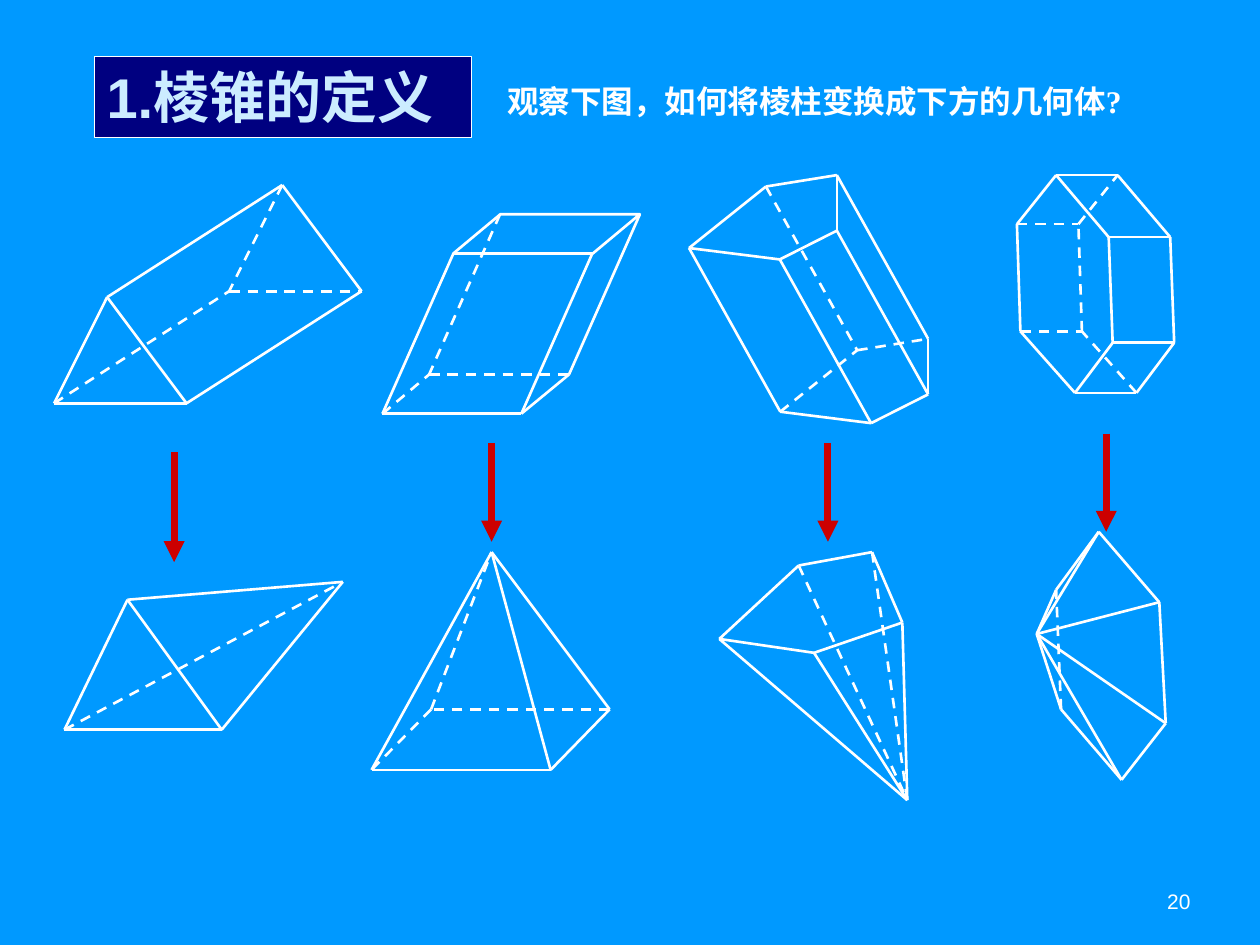
from lxml.etree import SubElement
from pptx import Presentation
from pptx.dml.color import RGBColor
from pptx.enum.dml import MSO_LINE
from pptx.enum.shapes import MSO_CONNECTOR, MSO_SHAPE
from pptx.enum.text import MSO_ANCHOR, PP_ALIGN
from pptx.oxml.ns import qn
from pptx.util import Cm, Pt

SKY = RGBColor(0x00, 0x99, 0xFF)
NAVY = RGBColor(0x00, 0x00, 0x80)
WHITE = RGBColor(0xFF, 0xFF, 0xFF)
PALE = RGBColor(0xCC, 0xEC, 0xFF)
RED = RGBColor(0xCC, 0x00, 0x00)
EDGE_WIDTH = 1.5


def add_line(shapes, start, end, color=WHITE, width=EDGE_WIDTH, dashed=False, arrow=False):
    line = shapes.add_connector(MSO_CONNECTOR.STRAIGHT, *map(Cm, start + end))
    line.line.color.rgb = color
    line.line.width = Pt(width)
    if dashed:
        line.line.dash_style = MSO_LINE.DASH
    if arrow:
        SubElement(line.line._get_or_add_ln(), qn("a:tailEnd"), type="triangle")
    SubElement(line._element.spPr, qn("a:effectLst"))


def add_solid(slide, points, edges, hidden=(), dashed=()):
    """Draw edges between point indices; those at a hidden point or listed in dashed are dashed."""
    group = slide.shapes.add_group_shape()
    for i, j in edges:
        is_dashed = i in hidden or j in hidden or (i, j) in dashed
        add_line(group.shapes, points[i], points[j], dashed=is_dashed)
    return group


def ring(n, first=0):
    return [(first + i, first + (i + 1) % n) for i in range(n)]


def add_prism(slide, base, shift, hidden, draw_base=True):
    """Join a base to its translated copy; the copy's points are numbered after the base's."""
    n = len(base)
    dx, dy = shift
    points = base + [(x + dx, y + dy) for x, y in base]
    edges = ring(n, n) + [(i, i + n) for i in range(n)]
    if draw_base:
        edges += ring(n)
    return add_solid(slide, points, edges, hidden=hidden)


def add_pyramid(slide, base, apex, hidden=(), dashed=()):
    """Join every base point to the apex, which is numbered after the base points."""
    n = len(base)
    edges = ring(n) + [(i, n) for i in range(n)]
    add_solid(slide, base + [apex], edges, hidden, dashed)


def outline(shape, width):
    shape.shadow.inherit = False
    shape.line.color.rgb = WHITE
    shape.line.width = Pt(width)


def write_text(shape, text, size, color=WHITE, font="Arial", bold=False,
               align=PP_ALIGN.LEFT, anchor=MSO_ANCHOR.TOP, wrap=True, margin=0.25):
    tf = shape.text_frame
    tf.word_wrap = wrap
    tf.vertical_anchor = anchor
    tf.margin_left = tf.margin_right = Cm(margin)
    tf.margin_top = tf.margin_bottom = Cm(0.13)
    p = tf.paragraphs[0]
    p.alignment = align
    r = p.add_run()
    r.text = text
    r.font.size = Pt(size)
    r.font.name = font
    r.font.bold = bold
    r.font.color.rgb = color
    return p


def add_texts(slide):
    title = slide.shapes.add_shape(MSO_SHAPE.RECTANGLE, Cm(1.9), Cm(1.14), Cm(7.6), Cm(1.63))
    outline(title, 0.75)
    title.fill.solid()
    title.fill.fore_color.rgb = NAVY
    write_text(title, "1.棱锥的定义", 32, color=PALE, bold=True)

    question = slide.shapes.add_textbox(Cm(9.98), Cm(1.52), Cm(13.03), Cm(1.02))
    p = write_text(question, "观察下图，如何将棱柱变换成下方的几何体", 18, bold=True, wrap=False)
    r = p.add_run()
    r.text = "?"
    r.font.size = Pt(18)
    r.font.name = "Times New Roman"
    r.font.bold = True
    r.font.color.rgb = WHITE

    number = slide.shapes.add_textbox(Cm(18.21), Cm(17.65), Cm(5.92), Cm(1.02))
    write_text(number, "20", 12, align=PP_ALIGN.RIGHT, anchor=MSO_ANCHOR.MIDDLE, margin=0.13)


def add_prisms(slide):
    add_prism(slide, [(1.09, 8.13), (3.76, 8.13), (2.16, 5.99)], (3.53, -2.26), hidden={3})

    box = add_prism(slide, [(10.08, 4.32), (12.9, 4.32), (11.94, 5.11), (9.14, 5.11)],
                    (-1.43, 3.23), hidden={4}, draw_base=False)
    top = box.shapes.add_shape(MSO_SHAPE.PARALLELOGRAM, Cm(9.14), Cm(4.32), Cm(3.76), Cm(0.79))
    top.adjustments[0] = 1.2
    top.fill.background()
    outline(top, EDGE_WIDTH)

    add_prism(slide, [(13.89, 5), (15.44, 3.76), (16.87, 3.53), (16.87, 4.65), (15.72, 5.23)],
              (1.84, 3.3), hidden={6})
    add_prism(slide, [(21.29, 3.53), (22.35, 4.78), (22.43, 6.91),
                      (21.67, 7.92), (20.57, 6.68), (20.5, 4.52)],
              (1.24, 0), hidden={10, 11})


def add_pyramids(slide):
    add_pyramid(slide, [(1.3, 14.71), (4.47, 14.71), (2.57, 12.09)], (6.91, 11.73),
                dashed={(0, 3)})
    add_pyramid(slide, [(7.49, 15.52), (11.1, 15.52), (12.29, 14.3), (8.69, 14.3)],
                (9.91, 11.13), hidden={3})
    add_pyramid(slide, [(14.5, 12.88), (16.1, 11.4), (17.58, 11.13),
                        (18.19, 12.55), (16.41, 13.16)],
                (18.29, 16.13), dashed={(1, 5), (2, 5)})
    add_pyramid(slide, [(22.15, 10.72), (23.37, 12.14), (23.5, 14.58),
                        (22.61, 15.72), (21.39, 14.3), (21.29, 11.89)],
                (20.9, 12.78), dashed={(4, 5)})


def add_arrows(slide):
    for x, top, bottom in [(3.51, 9.12, 11.33), (9.91, 8.94, 10.92),
                           (16.69, 8.94, 10.92), (22.3, 8.74, 10.72)]:
        add_line(slide.shapes, (x, top), (x, bottom), color=RED, width=4, arrow=True)


def main():
    prs = Presentation()
    prs.slide_width, prs.slide_height = Cm(25.4), Cm(19.05)
    s = prs.slides.add_slide(prs.slide_layouts[6])
    s.background.fill.solid()
    s.background.fill.fore_color.rgb = SKY
    add_prisms(s)
    add_pyramids(s)
    add_arrows(s)
    add_texts(s)
    prs.save("out.pptx")


if __name__ == "__main__":
    main()
